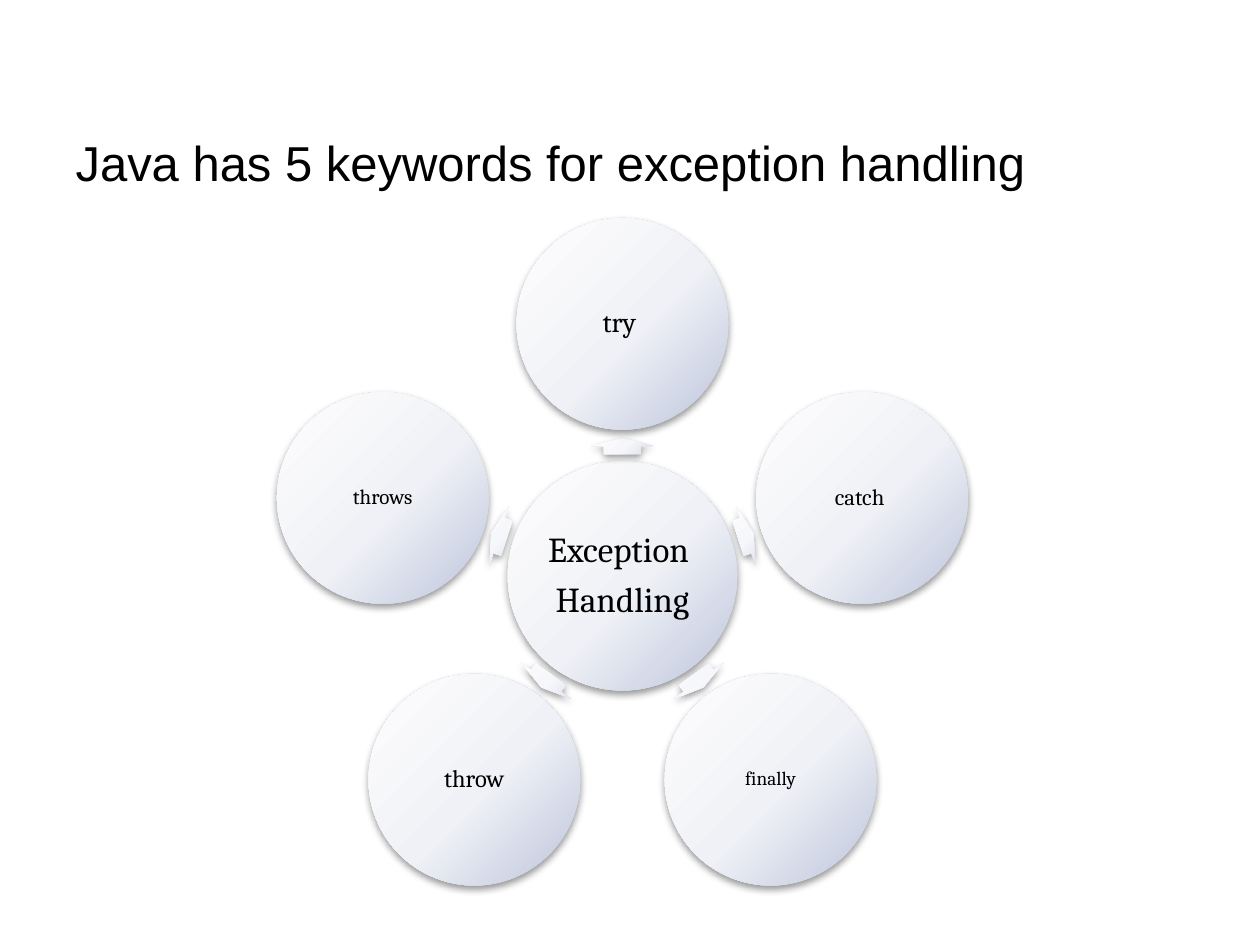
from math import cos, radians, sin

from lxml.etree import fromstring
from pptx import Presentation
from pptx.dml.color import RGBColor
from pptx.enum.shapes import MSO_SHAPE
from pptx.enum.text import MSO_ANCHOR, MSO_AUTO_SIZE, PP_ALIGN
from pptx.oxml.ns import nsdecls, qn
from pptx.util import Inches, Pt

TITLE = "Java has 5 keywords for exception handling"
HUB = ["Exception ", "Handling"]
KEYWORDS = [("try ", 16), ("catch ", 13), ("finally", 11), ("throw", 14), ("throws", 12)]

THEME = {
    "text": RGBColor(0, 0, 0),
    "title_font": "Arial",
    "title_size": 28,
    "body_font": "Cambria",
    "hub_size": 20,
    "circle": [(0, "FEFEFE"), (55, "EFF1F6"), (100, "BCC4DB")],
    "arrow": [(0, "FEFEFF"), (55, "F6F7FA"), (100, "DADEEA")],
}

CENTER_X, CENTER_Y = 4.94, 4.57
HUB_DIAMETER, KEYWORD_DIAMETER = 1.82, 1.68
KEYWORD_ORBIT, ARROW_ORBIT = 2.0, 1.03
ARROW_WIDTH, ARROW_HEIGHT = 0.13, 0.49


def apply_format(target, values):
    for name, value in values.items():
        setattr(target, name, value)


def font_format(name, size):
    return {"name": name, "size": Pt(size)}


def style_surface(shape, stops):
    """Give a shape a radial gradient, no outline and a soft shadow below it."""
    shape.line.fill.background()
    stop_xml = "".join(
        f'<a:gs pos="{position * 1000}"><a:srgbClr val="{color}"/></a:gs>'
        for position, color in stops)
    gradient = fromstring(
        f'<a:gradFill {nsdecls("a")} rotWithShape="1"><a:gsLst>{stop_xml}</a:gsLst>'
        '<a:path path="circle"><a:fillToRect l="-40000" t="-90000" r="140000" b="190000"/>'
        '</a:path></a:gradFill>')
    shadow = fromstring(
        f'<a:effectLst {nsdecls("a")}><a:outerShdw blurRad="{Pt(4.1)}" dist="{Pt(2)}" '
        'dir="5400000" rotWithShape="0"><a:srgbClr val="000000"><a:alpha val="40000"/>'
        '</a:srgbClr></a:outerShdw></a:effectLst>')
    properties = shape._element.spPr
    properties.find(qn("a:ln")).addprevious(gradient)
    properties.append(shadow)


def add_centered(slide, kind, orbit, angle, width, height):
    """Place a shape with its middle on an orbit around the hub."""
    x = CENTER_X + orbit * cos(radians(angle))
    y = CENTER_Y + orbit * sin(radians(angle))
    return slide.shapes.add_shape(
        kind, Inches(x - width / 2), Inches(y - height / 2), Inches(width), Inches(height))


def add_circle(slide, lines, size, diameter, orbit=0, angle=0):
    circle = add_centered(slide, MSO_SHAPE.OVAL, orbit, angle, diameter, diameter)
    style_surface(circle, THEME["circle"])
    frame = circle.text_frame
    margins = {f"margin_{side}": Inches(0.02) for side in ("left", "top", "right", "bottom")}
    apply_format(frame, {"word_wrap": True, "vertical_anchor": MSO_ANCHOR.MIDDLE, **margins})
    for index, line in enumerate(lines):
        para = frame.add_paragraph() if index else frame.paragraphs[0]
        apply_format(para, {"alignment": PP_ALIGN.CENTER, "line_spacing": 0.9,
                            "space_after": Pt(0.35 * size)})
        span = para.add_run()
        span.text = line
        apply_format(span.font, font_format(THEME["body_font"], size))
        span.font.color.rgb = THEME["text"]


def add_arrow(slide, angle):
    arrow = add_centered(slide, MSO_SHAPE.RIGHT_ARROW, ARROW_ORBIT, angle,
                         ARROW_WIDTH, ARROW_HEIGHT)
    arrow.rotation = angle % 360
    arrow.adjustments[0], arrow.adjustments[1] = 0.6, 0.5
    style_surface(arrow, THEME["arrow"])


def add_title(slide):
    title = slide.shapes.title
    apply_format(title, {"left": Inches(0.5), "top": Inches(1),
                         "width": Inches(9), "height": Inches(1)})
    frame = title.text_frame
    frame.text = TITLE
    apply_format(frame, {"auto_size": MSO_AUTO_SIZE.NONE, "vertical_anchor": MSO_ANCHOR.TOP})
    para = frame.paragraphs[0]
    apply_format(para, {"alignment": PP_ALIGN.LEFT, "space_before": Pt(2.5)})
    font = para.runs[0].font
    apply_format(font, font_format(THEME["title_font"], THEME["title_size"]))
    font.color.rgb = THEME["text"]


def main():
    deck = Presentation()
    deck.slide_width, deck.slide_height = Inches(10), Inches(7.5)
    slide = deck.slides.add_slide(deck.slide_layouts[5])
    add_title(slide)
    add_circle(slide, HUB, THEME["hub_size"], HUB_DIAMETER)
    step = 360 / len(KEYWORDS)
    for index, (keyword, size) in enumerate(KEYWORDS):
        angle = index * step - 90
        add_arrow(slide, angle)
        add_circle(slide, [keyword], size, KEYWORD_DIAMETER, KEYWORD_ORBIT, angle)
    deck.save("out.pptx")


if __name__ == "__main__":
    main()
